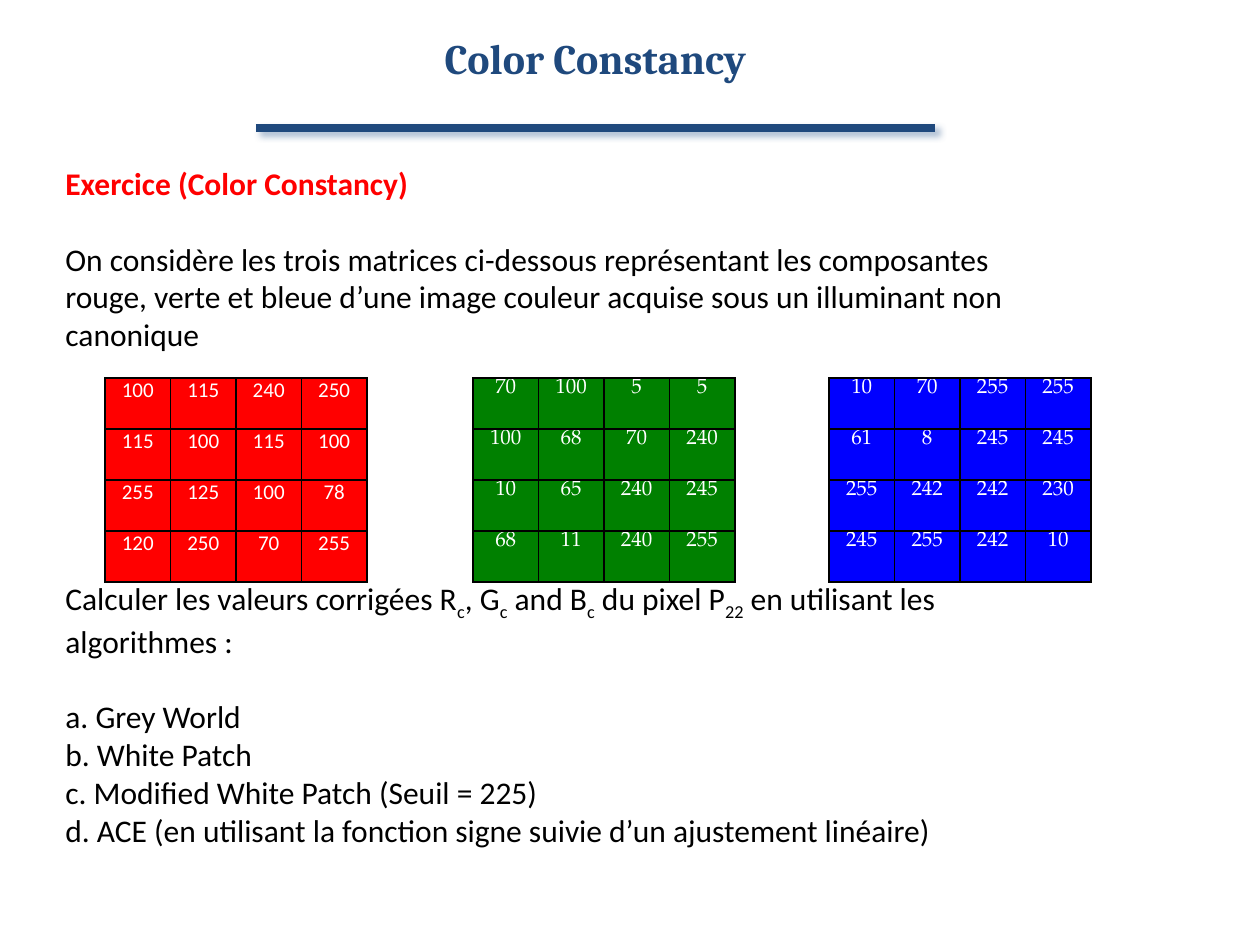
from pptx import Presentation
from pptx import util as u
from pptx.dml.color import RGBColor
from pptx.enum import shapes, text
from pptx.oxml import parse_xml
from pptx.oxml.ns import nsdecls

NAVY, RED, GREEN, BLUE = "1F497D", "FF0000", "008000", "0000FF"
BLACK, WHITE = "000000", "FFFFFF"
BODY_FONT, SERIF_FONT = "Calibri", "TeX Gyre Pagella"
LINE_GAP = 21.5

MATRICES = [
    (105, RED, BODY_FONT, [[100, 115, 240, 250], [115, 100, 115, 100],
                           [255, 125, 100, 78], [120, 250, 70, 255]]),
    (473, GREEN, SERIF_FONT, [[70, 100, 5, 5], [100, 68, 70, 240],
                              [10, 65, 240, 245], [68, 11, 240, 255]]),
    (829, BLUE, SERIF_FONT, [[10, 70, 255, 255], [61, 8, 245, 245],
                             [255, 242, 242, 230], [245, 255, 242, 10]]),
]

QUESTION = [("Calculer les valeurs corrigées R", False), ("c", True),
            (", G", False), ("c", True), (" and B", False), ("c", True),
            (" du pixel P", False), ("22", True),
            (" en utilisant les algorithmes :", False)]

EXERCISE = [
    (0, [("Exercice (Color Constancy)", False)]),
    (1, [("On considère les trois matrices ci-dessous représentant les composantes "
          "rouge, verte et bleue d’une image couleur acquise sous un illuminant "
          "non canonique", False)]),
    (6, QUESTION),
    (1, [("a. Grey World", False)]),
    (0, [("b. White Patch", False)]),
    (0, [("c. Modified White Patch (Seuil = 225)", False)]),
    (0, [("d. ACE (en utilisant la fonction signe suivie d’un ajustement linéaire)",
          False)]),
]


def px(length):
    return u.Emu(round(length * 914400 / 126))


def rgb(value):
    return RGBColor.from_string(value)


def add_run(paragraph, words, size, font, color, bold=False):
    run = paragraph.add_run()
    run.text = words
    run.font.size = u.Pt(size)
    run.font.name = font
    run.font.bold = bold
    run.font.color.rgb = rgb(color)
    return run


def add_heading(slide, left, top, width, height):
    title = slide.shapes.title
    title.left, title.top = px(left), px(top)
    title.width, title.height = px(width), px(height)
    frame = title.text_frame
    frame.word_wrap = True
    frame.auto_size = text.MSO_AUTO_SIZE.NONE
    frame.vertical_anchor = text.MSO_ANCHOR.TOP
    paragraph = frame.paragraphs[0]
    paragraph.alignment = text.PP_ALIGN.LEFT
    add_run(paragraph, "Color Constancy", 24, "Cambria", NAVY, True)


def add_rule(slide, left, top, width):
    rule = slide.shapes.add_connector(
        shapes.MSO_CONNECTOR.STRAIGHT, px(left), px(top), px(left + width), px(top))
    rule.line.color.rgb = rgb(NAVY)
    rule.line.width = u.Pt(5)
    rule._element.spPr.append(parse_xml(
        f'<a:effectLst {nsdecls("a")}><a:outerShdw blurRad="{u.Pt(4)}" '
        f'dist="{u.Pt(3)}" dir="2700000" algn="tl" rotWithShape="0">'
        '<a:srgbClr val="376092"><a:alpha val="40000"/></a:srgbClr>'
        '</a:outerShdw></a:effectLst>'))


def add_exercise(slide, left, top, width, height):
    frame = slide.shapes.add_textbox(px(left), px(top), px(width), px(height)).text_frame
    frame.word_wrap = True
    for index, (lines_before, parts) in enumerate(EXERCISE):
        paragraph = frame.add_paragraph() if index else frame.paragraphs[0]
        if lines_before:
            paragraph.space_before = u.Pt(lines_before * LINE_GAP)
        for words, subscript in parts:
            run = add_run(paragraph, words, 18, BODY_FONT,
                          BLACK if index else RED, index == 0)
            if subscript:
                run.font._element.set("baseline", "-25000")


def add_borders(cell):
    properties = cell._tc.get_or_add_tcPr()
    for position, side in enumerate(("lnL", "lnR", "lnT", "lnB")):
        properties.insert(position, parse_xml(
            f'<a:{side} {nsdecls("a")} w="{u.Pt(1)}"><a:solidFill>'
            f'<a:srgbClr val="{BLACK}"/></a:solidFill></a:{side}>'))


def add_matrix(slide, left, top, width, height, color, font, values):
    matrix = slide.shapes.add_table(
        len(values), len(values[0]), px(left), px(top), px(width), px(height)).table
    matrix.first_row = matrix.horz_banding = False
    for r, row in enumerate(values):
        for c, value in enumerate(row):
            cell = matrix.cell(r, c)
            cell.margin_left = cell.margin_right = px(9)
            cell.margin_top = cell.margin_bottom = 0
            cell.fill.solid()
            cell.fill.fore_color.rgb = rgb(color)
            add_borders(cell)
            paragraph = cell.text_frame.paragraphs[0]
            paragraph.alignment = text.PP_ALIGN.CENTER
            paragraph.space_after = u.Pt(10)
            add_run(paragraph, str(value), 12, font, WHITE)


def main():
    prs = Presentation()
    prs.slide_width, prs.slide_height = px(1260), px(945)
    slide = prs.slides.add_slide(prs.slide_layouts[5])
    add_rule(slide, 256, 128, 679)
    add_heading(slide, 432, 26, 383, 63)
    add_exercise(slide, 53, 158, 966, 738)
    for left, color, font, values in MATRICES:
        add_matrix(slide, left, 378, 262, 204, color, font, values)
    prs.save("out.pptx")


if __name__ == "__main__":
    main()
